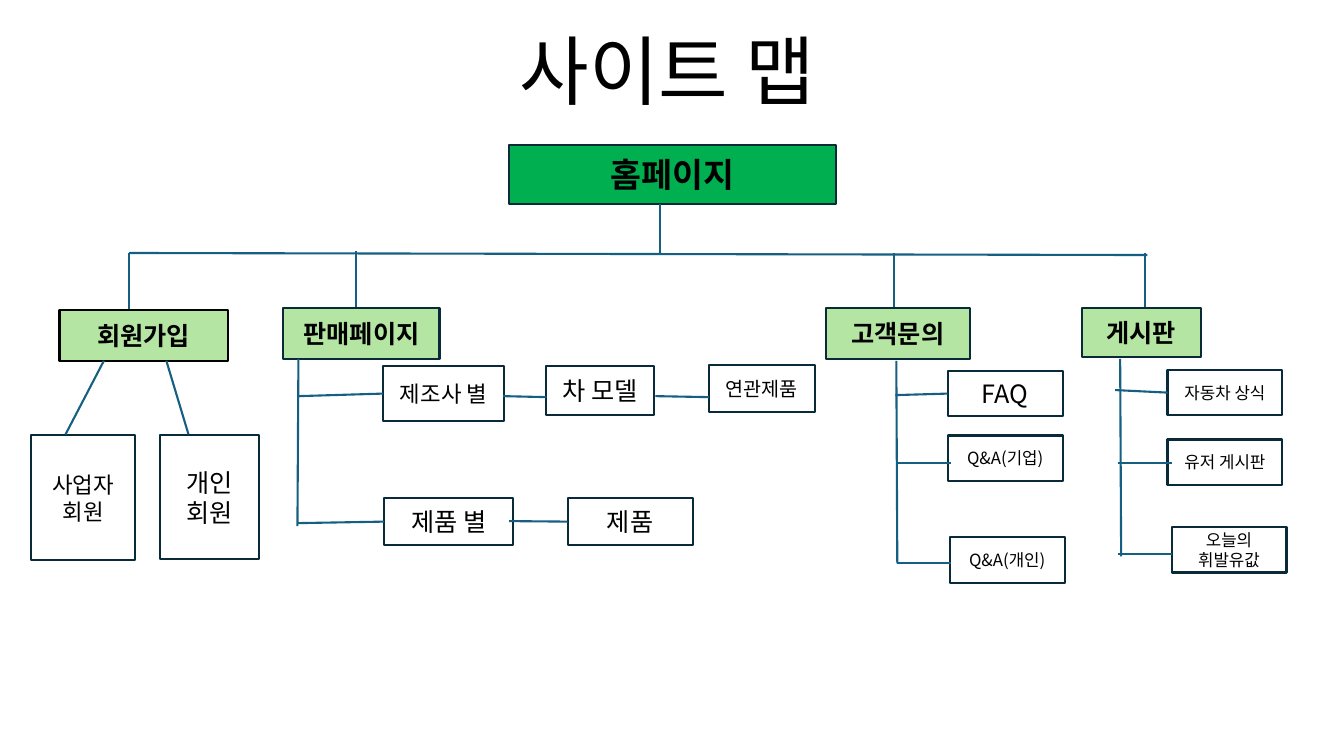
from lxml import etree
from pptx import Presentation
from pptx.dml.color import RGBColor
from pptx.enum.shapes import MSO_CONNECTOR, MSO_SHAPE
from pptx.enum.text import MSO_ANCHOR, PP_ALIGN
from pptx.oxml.ns import qn
from pptx.util import Inches, Pt

STRAIGHT = MSO_CONNECTOR.STRAIGHT
RECTANGLE = MSO_SHAPE.RECTANGLE
CENTER = PP_ALIGN.CENTER
BOTTOM, MIDDLE = MSO_ANCHOR.BOTTOM, MSO_ANCHOR.MIDDLE
LEFT_SIDE = 1
JOIN_TOLERANCE = 0.03
FONT = "Noto Sans CJK KR"
COLORS = {
    "text": "000000",
    "border": "092A39",
    "link": "156082",
    "home": "00B050",
    "section": "B4E5A2",
}

# Section: label, box, border, spine, pages.
# Page: label, text size, box, link start, link end.
# Spines, pages and links are offsets from the section's top left corner.
SECTIONS = [
    ("회원가입", (0.59, 3.08, 1.67, 0.5), "text", None, [
        ("사업자\n회원", 16, (-0.28, 1.24, 1.03, 1.24), (0.44, 0.5), (0.06, 1.23)),
        ("개인\n회원", 18, (1, 1.24, 0.98, 1.23), (1.06, 0.5), (1.28, 1.23)),
    ]),
    ("판매페이지", (2.81, 3.06, 1.55, 0.5), "border", ((0.15, 0.5), (0.14, 2.16)), [
        ("제조사 별", 16, (0.99, 0.57, 1.2, 0.55), (0.15, 0.87), (0.99, 0.87)),
        ("차 모델", 18, (2.61, 0.57, 1.07, 0.49), (2.18, 0.87), (2.61, 0.88)),
        ("연관제품", 14, (4.22, 0.56, 1.05, 0.47), (3.69, 0.87), (4.22, 0.88)),
        ("제품 별", 18, (1, 1.88, 1.28, 0.47), (0.14, 2.13), (1, 2.12)),
        ("제품", 18, (2.82, 1.88, 1.24, 0.47), (2.24, 2.11), (2.82, 2.11)),
    ]),
    ("고객문의", (8.19, 3.06, 1.43, 0.5), "border", ((0.7, 0.52), (0.71, 2.53)), [
        ("FAQ", 18, (1.21, 0.62, 1.14, 0.45), (0.69, 0.86), (1.21, 0.86)),
        ("Q&A(기업)", 12, (1.21, 1.26, 1.14, 0.45), (0.71, 1.53), (1.24, 1.53)),
        ("Q&A(개인)", 12, (1.23, 2.27, 1.14, 0.45), (0.71, 2.53), (1.24, 2.53)),
    ]),
    ("게시판", (10.73, 3.06, 1.18, 0.48), "border", ((0.38, 0.5), (0.39, 2.46)), [
        ("자동차 상식", 12, (0.85, 0.61, 1.14, 0.45), (0.33, 0.81), (0.85, 0.81)),
        ("유저 게시판", 12, (0.85, 1.3, 1.14, 0.45), (0.36, 1.53), (0.89, 1.53)),
        ("오늘의\n휘발유값", 12, (0.89, 2.17, 1.14, 0.45), (0.36, 2.44), (0.89, 2.44)),
    ]),
]
# Offsets from the home page's bottom left corner.
TRUNK = ((1.5, 0), (1.5, 0.49))
BUS = ((-3.77, 0.49), (6.33, 0.51))
DROPS = [(-3.77, 0.49, 1.06), (-1.52, 0.47, 1.03), (3.82, 0.49, 1.06), (6.31, 0.49, 1.06)]


def rgb(name):
    return RGBColor.from_string(COLORS[name])


def shift(origin, offset):
    return origin[0] + offset[0], origin[1] + offset[1]


def write_text(frame, text, size, bold=False, anchor=MIDDLE):
    frame.word_wrap = True
    frame.vertical_anchor = anchor
    paragraph = frame.paragraphs[0]
    paragraph.alignment = CENTER
    for index, words in enumerate(text.split("\n")):
        if index:
            paragraph.add_line_break()
        run = paragraph.add_run()
        run.text = words
        run.font.size = Pt(size)
        run.font.bold = bold
        run.font.name = FONT
        run.font.color.rgb = rgb("text")
        east_asian = etree.SubElement(run.font._element, qn("a:ea"))
        east_asian.set("typeface", FONT)
    return paragraph


def add_box(slide, box, label, size, fill=None, border="border", bold=False):
    shape = slide.shapes.add_shape(RECTANGLE, *map(Inches, box))
    shape.shadow.inherit = False
    if fill:
        shape.fill.solid()
        shape.fill.fore_color.rgb = rgb(fill)
    else:
        shape.fill.background()
    shape.line.color.rgb = rgb(border)
    shape.line.width = Pt(1.5)
    write_text(shape.text_frame, label, size, bold)
    return shape


def add_link(slide, start, end):
    link = slide.shapes.add_connector(STRAIGHT, *map(Inches, (*start, *end)))
    link.line.color.rgb = rgb("link")
    link.line.width = Pt(1.5)
    etree.SubElement(link._element.spPr, qn("a:effectLst"))
    return link


def add_title(slide, box):
    title = slide.shapes.title
    title.left, title.top, title.width, title.height = map(Inches, box)
    write_text(title.text_frame, "사이트 맵", 54, anchor=BOTTOM).line_spacing = 0.9


def add_home(slide, box):
    """Place the home page and the lines that lead down to the sections."""
    add_box(slide, box, "홈페이지", 24, fill="home", bold=True)
    left, top, _, height = box
    origin = left, top + height
    for start, end in (TRUNK, BUS):
        add_link(slide, shift(origin, start), shift(origin, end))
    for x, upper, lower in DROPS:
        add_link(slide, shift(origin, (x, upper)), shift(origin, (x, lower)))


def add_section(slide, label, box, border, spine, pages):
    """Place a section heading with its spine, linked pages below it."""
    add_box(slide, box, label, 18, fill="section", border=border, bold=True)
    origin = box[:2]
    if spine:
        add_link(slide, *(shift(origin, point) for point in spine))
    for page_label, size, page_box, start, end in pages:
        left, top, width, height = page_box
        page = add_box(slide, (*shift(origin, (left, top)), width, height), page_label, size)
        link = add_link(slide, shift(origin, start), shift(origin, end))
        gaps = abs(end[0] - left), abs(end[1] - top - height / 2)
        if max(gaps) < JOIN_TOLERANCE:
            link.end_connect(page, LEFT_SIDE)


def main():
    presentation = Presentation()
    presentation.slide_width = Inches(13.33)
    presentation.slide_height = Inches(7.5)
    title_only = presentation.slide_layouts.get_by_name("Title Only")
    slide = presentation.slides.add_slide(title_only)
    add_title(slide, (1.62, 0.11, 10, 1.09))
    add_home(slide, (5.05, 1.44, 3.24, 0.58))
    for section in SECTIONS:
        add_section(slide, *section)
    presentation.save("out.pptx")


if __name__ == "__main__":
    main()
